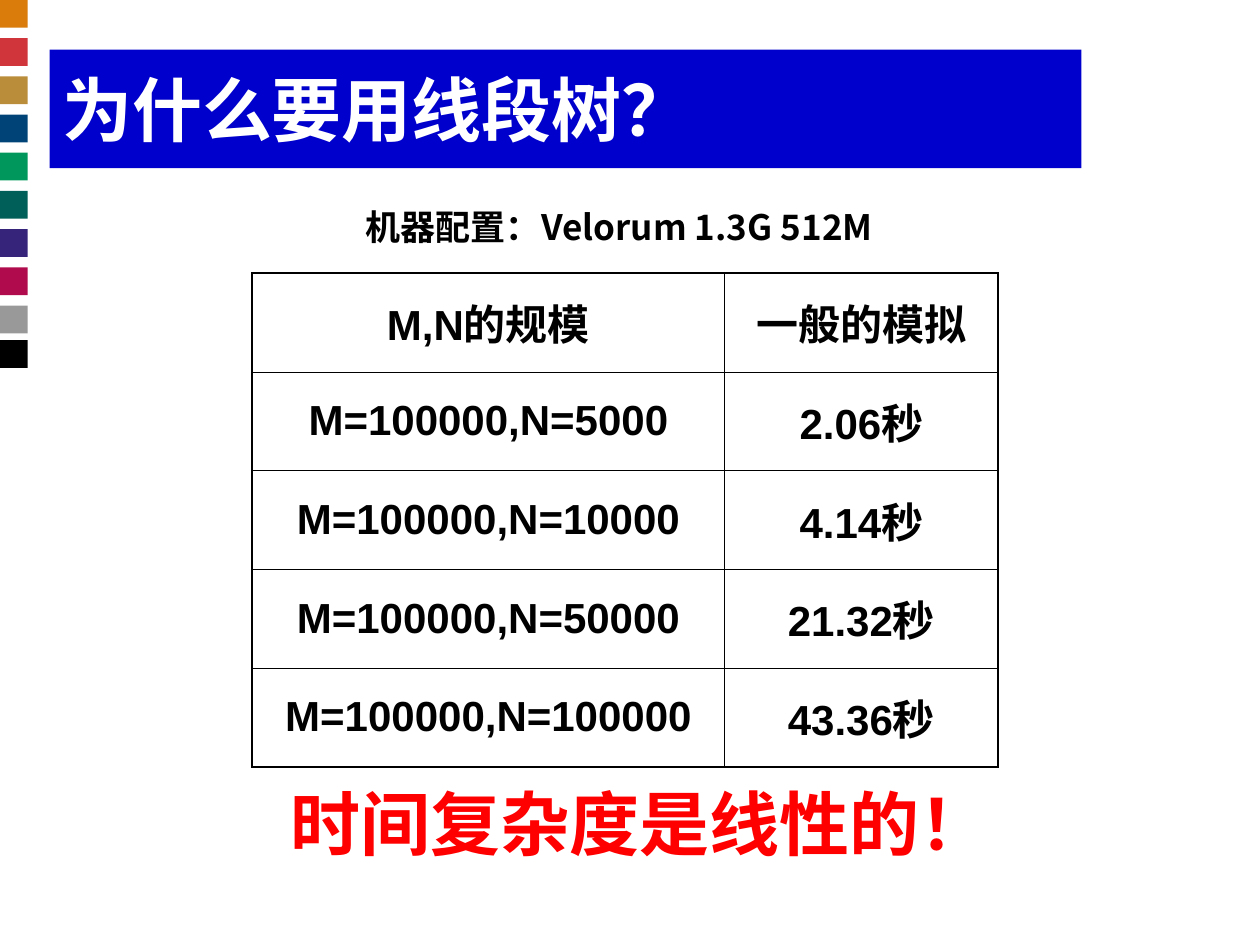
from lxml import etree
from pptx import Presentation
from pptx import util as u
from pptx.dml.color import RGBColor
from pptx.enum import shapes, text
from pptx.oxml.ns import qn

BLACK = RGBColor(0, 0, 0)
WHITE = RGBColor(255, 255, 255)
RED = RGBColor(255, 0, 0)
TITLE_BLUE = RGBColor(0, 0, 0xCC)
SWATCHES = [RGBColor.from_string(code) for code in (
    "DA7C0C", "CF353B", "BA8D3A", "004477", "00975D",
    "005F58", "35247A", "B00B4C", "999999", "000000")]

LATIN_FONT = "Arial"
CHINESE_FONT = "Noto Sans CJK SC"
OUTER_LINE, INNER_LINE = u.Pt(1.08), u.Pt(0.45)

TIMINGS = [
    ("M,N的规模", "一般的模拟"),
    ("M=100000,N=5000", "2.06秒"),
    ("M=100000,N=10000", "4.14秒"),
    ("M=100000,N=50000", "21.32秒"),
    ("M=100000,N=100000", "43.36秒"),
]


def write(frame, words, size=24, color=BLACK, font=LATIN_FONT,
          align=text.PP_ALIGN.CENTER):
    para = frame.paragraphs[0]
    para.alignment = align
    span = para.add_run()
    span.text = words
    span.font.size = u.Pt(size)
    span.font.bold = True
    span.font.color.rgb = color
    span.font.name = font
    east_asian = etree.SubElement(span.font._element, qn("a:ea"))
    east_asian.set("typeface", CHINESE_FONT)


def add_swatches(page, left, top, side, height):
    """Stack the colour squares evenly, the last one kept inside the height."""
    pitch = u.Cm(0.77)
    for index, color in enumerate(SWATCHES):
        offset = min(index * pitch, height - side)
        square = page.shapes.add_shape(
            shapes.MSO_SHAPE.RECTANGLE, left, top + offset, side, side)
        square.shadow.inherit = False
        square.fill.solid()
        square.fill.fore_color.rgb = color
        square.line.fill.background()


def fill_title(page, left, top, width, height, words):
    box = page.shapes.title
    box.left, box.top, box.width, box.height = left, top, width, height
    box.fill.solid()
    box.fill.fore_color.rgb = TITLE_BLUE
    frame = box.text_frame
    frame.auto_size = text.MSO_AUTO_SIZE.NONE
    frame.vertical_anchor = text.MSO_ANCHOR.MIDDLE
    write(frame, words, size=40, color=WHITE, align=text.PP_ALIGN.LEFT)


def add_caption(page, left, top, width, height, words, **style):
    frame = page.shapes.add_textbox(left, top, width, height).text_frame
    frame.word_wrap = True
    write(frame, words, **style)


def set_border(cell, side, width):
    line = etree.SubElement(
        cell._tc.get_or_add_tcPr(), qn("a:ln" + side), w=str(int(width)))
    fill = etree.SubElement(line, qn("a:solidFill"))
    etree.SubElement(fill, qn("a:srgbClr"), val=str(BLACK))


def add_timing_table(page, left, top, width, height):
    rows, cols = len(TIMINGS), len(TIMINGS[0])
    table = page.shapes.add_table(rows, cols, left, top, width, height).table
    table.first_row = table.horz_banding = False
    first_width = u.Cm(9.53)
    table.columns[0].width = first_width
    table.columns[1].width = width - first_width
    for r, record in enumerate(TIMINGS):
        for c, words in enumerate(record):
            cell = table.cell(r, c)
            cell.vertical_anchor = text.MSO_ANCHOR.MIDDLE
            on_edge = {"L": c == 0, "R": c == cols - 1,
                       "T": r == 0, "B": r == rows - 1}
            for side, outer in on_edge.items():
                set_border(cell, side, OUTER_LINE if outer else INNER_LINE)
            cell.fill.background()
            write(cell.text_frame, words)


def main():
    deck = Presentation()
    deck.slide_width, deck.slide_height = u.Cm(25.4), u.Cm(19.05)
    page = deck.slides.add_slide(deck.slide_layouts[5])
    add_swatches(page, 0, 0, u.Cm(0.56), u.Cm(7.42))
    fill_title(page, u.Cm(1), u.Cm(1), u.Cm(20.8), u.Cm(2.39),
               "为什么要用线段树？")
    add_caption(page, u.Cm(5.08), u.Cm(4.01), u.Cm(14.81), u.Cm(1.12),
                "机器配置：Velorum 1.3G 512M", size=20, font=CHINESE_FONT)
    add_timing_table(page, u.Cm(5.08), u.Cm(5.51), u.Cm(15.04), u.Cm(9.95))
    add_caption(page, u.Cm(4.01), u.Cm(15.62), u.Cm(17.78), u.Cm(1.96),
                "时间复杂度是线性的！", size=40, color=RED)
    deck.save("out.pptx")


if __name__ == "__main__":
    main()
